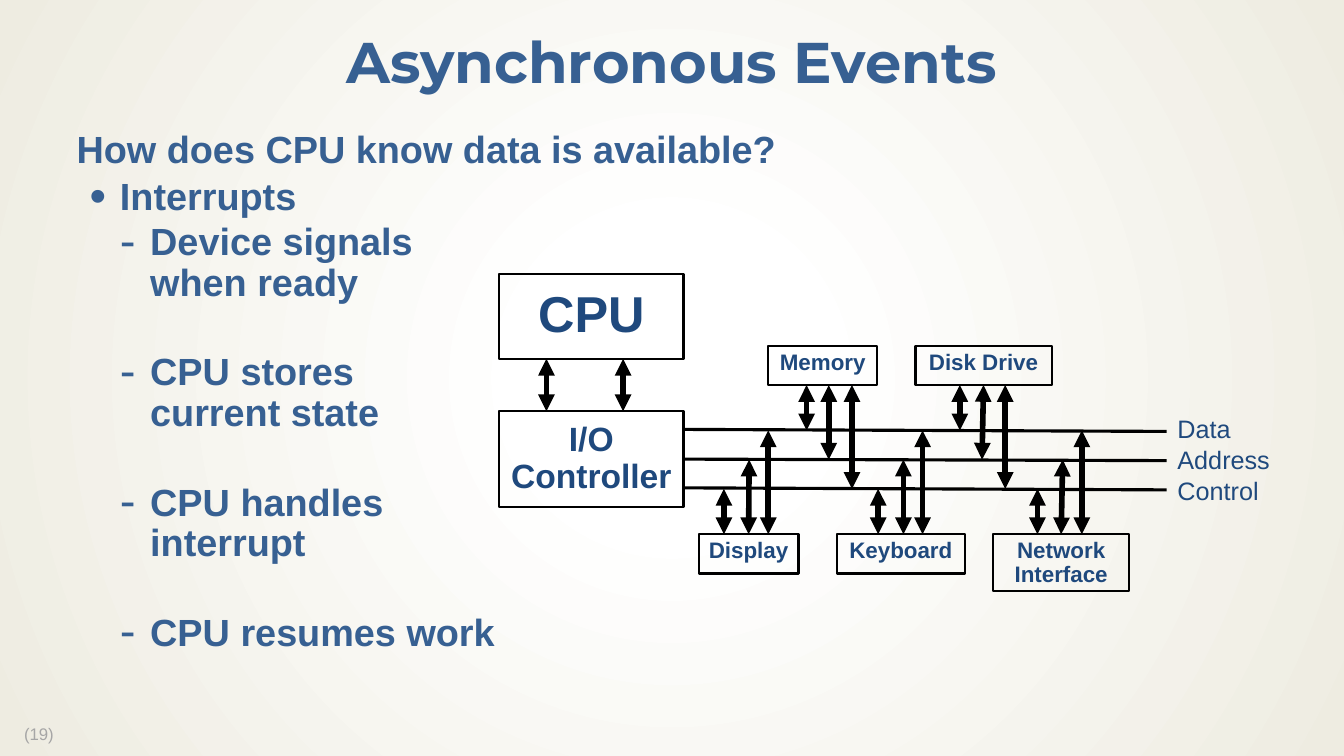
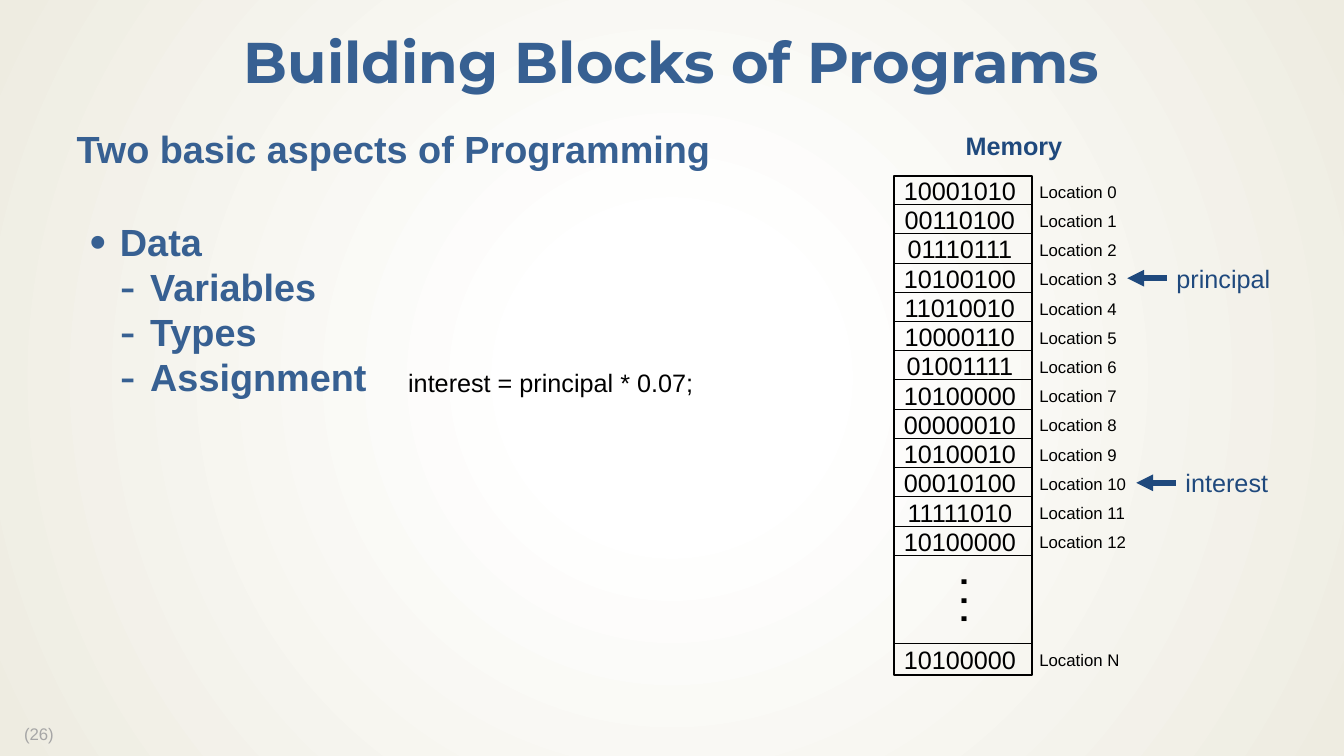
"""Build two lecture slides on interrupts and on the building blocks of programs."""
from lxml.etree import SubElement
from pptx import Presentation
from pptx.dml.color import RGBColor
from pptx.enum.shapes import MSO_CONNECTOR as CONN, MSO_SHAPE as SHAPE
from pptx.enum.text import MSO_ANCHOR as ANCHOR, PP_ALIGN as ALIGN
from pptx.oxml.ns import qn
from pptx.util import Emu, Pt

BLUE, NAVY, BLACK, GREY = "376092", "1F497D", "000000", "A6A6A6"
WHITE, CREAM = "FFFFFF", "EEECE1"


def px(n):
    """Turn px, a hundred to the inch, into EMU."""
    return Emu(int(n * 9144))


def rgb(code):
    """Turn a hex string into a colour."""
    return RGBColor.from_string(code)


def write(tf, text, size=18, color=BLACK, bold=False, font="Arial", align=None,
          spacing=None, before=0, left=0, hang=0, bullet=None):
    """Add one formatted paragraph per line of text to a text frame."""
    for line in text.split("\n"):
        p = tf.paragraphs[0]
        if p.runs:
            p = tf.add_paragraph()
        p.text = line
        pPr = p._p.get_or_add_pPr()
        if left:
            pPr.set("marL", str(px(left)))
            pPr.set("indent", str(px(-hang)))
        if bullet:
            SubElement(pPr, qn("a:buSzPct"), val="125000")
            SubElement(pPr, qn("a:buFont"), typeface="Arial")
            SubElement(pPr, qn("a:buChar"), char=bullet)
        if align is not None:
            p.alignment = align
        if spacing:
            p.line_spacing = spacing
        if before:
            p.space_before = Pt(before)
        for r in p.runs:
            r.font.name, r.font.size, r.font.bold = font, Pt(size), bold
            r.font.color.rgb = rgb(color)


class Deck:
    """Hold the shared style and the current slide."""

    def __init__(self):
        """Start a presentation with a radial background."""
        self.prs = Presentation()
        self.prs.slide_width, self.prs.slide_height = px(1333), px(750)
        master = self.prs.slide_master
        fill = master.background.fill
        fill.gradient()
        for stop, position, color in zip(fill.gradient_stops, (0.18, 1), (WHITE, CREAM)):
            stop.position = position
            stop.color.rgb = rgb(color)
        grad = next(master.element.iter(qn("a:gradFill")))
        grad.remove(grad.find(qn("a:lin")))
        circle = SubElement(grad, qn("a:path"), path="circle")
        SubElement(circle, qn("a:fillToRect"), l="50000", t="50000", r="50000", b="50000")

    def slide(self, title, number):
        """Add a slide with its title and page number."""
        self.s = self.prs.slides.add_slide(self.prs.slide_layouts[6])
        self.text(title, 0, 17, 1333, 94, anchor=ANCHOR.MIDDLE, size=41, color=BLUE,
                  bold=True, font="Montserrat", align=ALIGN.CENTER, spacing=0.9)
        self.text(f"({number})", 14, 715, 60, 28, size=12, color=GREY, spacing=0.9)

    def frame(self, sp, anchor, inset):
        """Set wrapping, anchor and insets of a shape and return its text frame."""
        tf = sp.text_frame
        tf.word_wrap, tf.vertical_anchor = True, anchor
        tf.margin_left = tf.margin_right = px(inset)
        tf.margin_top = tf.margin_bottom = px(5)
        return tf

    def text(self, text, x, y, w, h, anchor=ANCHOR.TOP, **fmt):
        """Add a text box."""
        sp = self.s.shapes.add_textbox(px(x), px(y), px(w), px(h))
        write(self.frame(sp, anchor, 10), text, **fmt)
        return sp

    def body(self, heading, items):
        """Add the outline: a heading, then (level, text, space before) items."""
        sp = self.s.shapes.add_textbox(px(50), px(125), px(1233), px(565))
        tf = self.frame(sp, ANCHOR.TOP, 12)
        style = dict(size=27, color=BLUE, bold=True, spacing=0.9)
        write(tf, heading, left=14, **style)
        for level, text, before in items:
            write(tf, text, before=before, left=27 + 30 * level, hang=30,
                  bullet=" •-"[level], **style)

    def box(self, x, y, w, h, text="", anchor=ANCHOR.TOP, size=16):
        """Add an outlined rectangle with a bold centred label."""
        sp = self.s.shapes.add_shape(SHAPE.RECTANGLE, px(x), px(y), px(w), px(h))
        sp.shadow.inherit = False
        sp.fill.background()
        sp.line.color.rgb, sp.line.width = rgb(BLACK), Pt(1.5)
        if text:
            write(self.frame(sp, anchor, 4), text, size=size, color=NAVY, bold=True,
                  align=ALIGN.CENTER, spacing=0.9)
        return sp

    def line(self, x1, y1, x2, y2, width=4, color=BLACK, ends=(), join=None):
        """Add a connector, with arrowheads at ends, joined to a (shape, site)."""
        c = self.s.shapes.add_connector(CONN.STRAIGHT, px(x1), px(y1), px(x2), px(y2))
        c.line.color.rgb, c.line.width = rgb(color), Pt(width)
        spPr = c.element.spPr
        for end in ends:
            SubElement(spPr.find(qn("a:ln")), qn(f"a:{end}End"), type="triangle")
        SubElement(spPr, qn("a:effectLst"))
        if join:
            c.begin_connect(*join)


def events(deck):
    """Draw the interrupt slide with its bus diagram."""
    both = ("head", "tail")
    deck.slide("Asynchronous Events", 19)
    deck.body("How does CPU know data is available?", [
        (1, "Interrupts", 4.5),
        (2, "Device signals\vwhen ready", 3),
        (2, "CPU stores\vcurrent state", 34.5),
        (2, "CPU handles\vinterrupt", 34.5),
        (2, "CPU resumes work", 34.5)])

    deck.box(495, 272, 183, 84, "CPU", ANCHOR.MIDDLE, 36)
    controller = deck.box(495, 408, 183, 95, "I/O\nController", ANCHOR.MIDDLE, 24)
    for x in (542, 618):
        deck.line(x, 356, x, 408, ends=both)

    for i, name in enumerate(("Data", "Address", "Control")):
        y = 426 + 29 * i
        deck.line(678, y, 1157, y + 2, 2.25, join=(controller, 3) if i == 1 else None)
        deck.text(name, 1158, 405 + 31 * i, 130, 40, color=NAVY)

    bus = (427, 456, 485)
    above = (343, 382, 2, (0, 22, 45), bus)
    below = (530, 530, 0, (0, 25, 44), bus[::-1])
    devices = [
        ("Display", 693, 99, 39, 718, below),
        ("Memory", 762, 108, 39, 800, above),
        ("Keyboard", 830, 127, 39, 871, below),
        ("Disk Drive", 908, 135, 39, 952, above),
        ("Network\nInterface", 985, 135, 56, 1029, below)]
    for name, left, width, height, first, (top, edge, site, offsets, ends_y) in devices:
        device = deck.box(left, top, width, height, name)
        for offset, y in zip(offsets, ends_y):
            x = first + offset
            centred = abs(x - left - width / 2) <= 2
            deck.line(x, edge, x, y, ends=both, join=(device, site) if centred else None)


def blocks(deck):
    """Draw the programming slide with its memory column."""
    deck.slide("Building Blocks of Programs", 26)
    deck.body("Two basic aspects of Programming", [
        (1, "Data", 37),
        (2, "Variables", 3),
        (2, "Types", 3),
        (2, "Assignment", 3)])
    deck.text("interest = principal * 0.07;", 395, 359, 320, 40)

    deck.text("Memory", 948, 124, 130, 40, color=NAVY, bold=True)
    deck.box(887, 175, 137, 495)
    words = ("10001010", "00110100", "01110111", "10100100", "11010010", "10000110",
             "01001111", "10100000", "00000010", "10100010", "00010100", "11111010",
             "10100000")
    cells = [(i, word, 175 + 29 * i, 203 + 29 * i) for i, word in enumerate(words)]
    for name, word, y, rule in cells + [("N", "10100000", 640, 638)]:
        deck.line(887, rule, 1024, rule, 0.75)
        deck.text(word, 882, y - 6, 140, 40, align=ALIGN.CENTER)
        deck.text(f"Location {name}", 1021, y, 115, 30, size=12)
    dots = deck.text(". . .", 929, 576, 76, 50, size=24, bold=True)
    dots.rotation = 90

    for name, x, y in (("principal", 1157, 256), ("interest", 1166, 459)):
        label = deck.text(name, x, y, 120, 40, ANCHOR.MIDDLE, color=NAVY)
        deck.line(x, y + 20, x - 39, y + 20, color=NAVY, ends=("tail",), join=(label, 1))


def main():
    """Build and save the deck."""
    deck = Deck()
    events(deck)
    blocks(deck)
    deck.prs.save("out.pptx")


if __name__ == "__main__":
    main()
